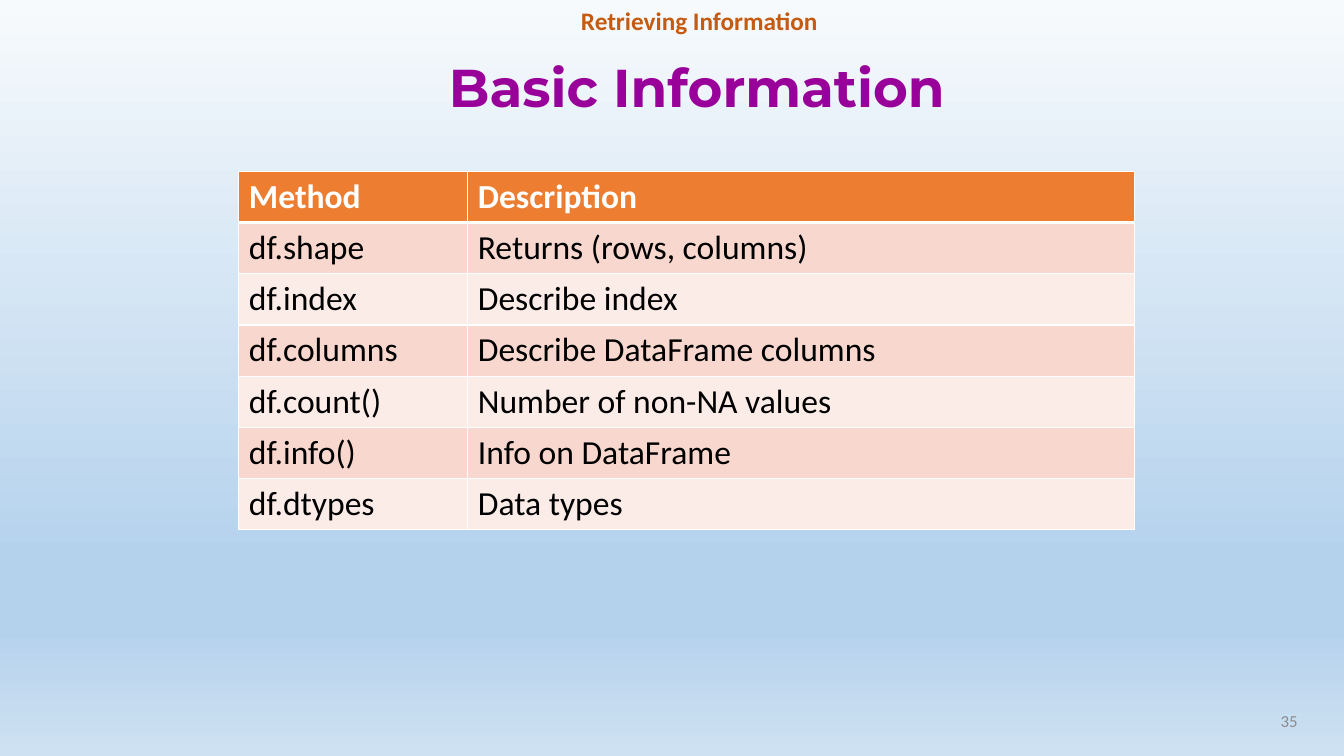
"""Build the Basic Information slide about DataFrame methods."""
from typing import NamedTuple

from lxml import etree
from pptx import Presentation
from pptx import util as u
from pptx.dml.color import RGBColor
from pptx.enum import text
from pptx.oxml import ns

COLORS = {
    "title": "990099", "topic": "C55A11", "number": "8C8C8C",
    "header": "ED7D31", "odd": "F8D7CE", "even": "FCECE8",
    "white": "FFFFFF", "black": "000000",
}
BACKGROUND_STOPS = [(0, "F7FAFD"), (74, "B5D2EC"), (83, "B5D2EC"), (100, "CEE1F2")]
COLUMN_WIDTHS = (5.77, 16.81)
ROW_HEIGHT = 1.29


class Method(NamedTuple):
    name: str
    description: str


class Label(NamedTuple):
    content: str
    left: float
    top: float
    width: float
    height: float
    size: float
    color: str
    bold: bool = True
    font: str = "Calibri"
    align: text.PP_ALIGN = text.PP_ALIGN.CENTER
    anchor: text.MSO_ANCHOR = text.MSO_ANCHOR.MIDDLE
    line_spacing: float = 1.0


METHODS = [
    Method("Method", "Description"),
    Method("df.shape", "Returns (rows, columns)"),
    Method("df.index", "Describe index"),
    Method("df.columns", "Describe DataFrame columns"),
    Method("df.count()", "Number of non-NA values"),
    Method("df.info()", "Info on DataFrame"),
    Method("df.dtypes", "Data types"),
]
TITLE = Label("Basic Information", 2.21, 1.04, 30.71, 2.46, 38, "title",
              font="Montserrat", line_spacing=0.9)
TOPIC = Label("Retrieving Information", 6.65, 0, 21.95, 1.04, 18, "topic",
              anchor=text.MSO_ANCHOR.TOP)
NUMBER = Label("35", 24.64, 17.65, 8.31, 1.02, 12, "number", bold=False,
               align=text.PP_ALIGN.RIGHT)


def style_font(paragraph, name: str, size: float, color: str, bold: bool) -> None:
    """Set the font of a whole paragraph."""
    font = paragraph.font
    font.name, font.size, font.bold = name, u.Pt(size), bold
    font.color.rgb = RGBColor.from_string(COLORS[color])


def fill_label(shape, label: Label) -> None:
    """Place a text shape and write its single formatted paragraph."""
    shape.left, shape.top = u.Cm(label.left), u.Cm(label.top)
    shape.width, shape.height = u.Cm(label.width), u.Cm(label.height)
    frame = shape.text_frame
    frame.text = label.content
    frame.word_wrap = True
    frame.auto_size = text.MSO_AUTO_SIZE.NONE
    frame.vertical_anchor = label.anchor
    paragraph = frame.paragraphs[0]
    paragraph.alignment = label.align
    paragraph.line_spacing = label.line_spacing
    paragraph.space_before = u.Pt(0)
    style_font(paragraph, label.font, label.size, label.color, label.bold)


def remove_bullet(paragraph) -> None:
    """Drop the bullet and hanging indent inherited from the layout."""
    properties = paragraph._p.get_or_add_pPr()
    properties.set("marL", "0")
    properties.set("indent", "0")
    etree.SubElement(properties, ns.qn("a:buNone"))


def add_solid_color(parent, tag: str, color: str) -> None:
    """Append an RGB colour inside a new child, or directly for an empty tag."""
    holder = etree.SubElement(parent, ns.qn(tag)) if tag else parent
    etree.SubElement(holder, ns.qn("a:srgbClr"), val=color)


def paint_background(slide) -> None:
    """Give the slide its vertical gradient."""
    fill = slide.background.fill
    fill.gradient()
    fill.gradient_angle = 270
    stops = slide.element.find(".//" + ns.qn("a:gsLst"))
    for stop in list(stops):
        stops.remove(stop)
    for position, color in BACKGROUND_STOPS:
        stop = etree.SubElement(stops, ns.qn("a:gs"), pos=str(position * 1000))
        add_solid_color(stop, "", color)


def style_cell(cell, row: int) -> None:
    """Set borders, fill and font of a cell according to its row."""
    widths = {"L": 1, "R": 1, "T": 3 if row == 1 else 1, "B": 3 if row == 0 else 1}
    properties = cell._tc.get_or_add_tcPr()
    for side, width in widths.items():
        line = etree.SubElement(properties, ns.qn(f"a:ln{side}"), w=str(u.Pt(width)))
        add_solid_color(line, "a:solidFill", COLORS["white"])
    band = "header" if row == 0 else ("even", "odd")[row % 2]
    cell.fill.solid()
    cell.fill.fore_color.rgb = RGBColor.from_string(COLORS[band])
    style_font(cell.text_frame.paragraphs[0], "Calibri", 24,
               "white" if row == 0 else "black", row == 0)


def add_method_table(slide) -> None:
    """Add the table of DataFrame methods."""
    table = slide.shapes.add_table(
        len(METHODS), len(COLUMN_WIDTHS), u.Cm(6.02), u.Cm(4.32),
        u.Cm(sum(COLUMN_WIDTHS)), u.Cm(ROW_HEIGHT * len(METHODS))).table
    for column, width in zip(table.columns, COLUMN_WIDTHS):
        column.width = u.Cm(width)
    for row, method in enumerate(METHODS):
        for column, content in enumerate(method):
            cell = table.cell(row, column)
            cell.text = content
            style_cell(cell, row)


def main() -> None:
    """Create and save the presentation."""
    presentation = Presentation()
    presentation.slide_width, presentation.slide_height = u.Cm(33.87), u.Cm(19.05)
    slide = presentation.slides.add_slide(presentation.slide_layouts[1])
    paint_background(slide)
    topic = slide.placeholders[1]
    fill_label(slide.shapes.title, TITLE)
    fill_label(topic, TOPIC)
    remove_bullet(topic.text_frame.paragraphs[0])
    fill_label(slide.shapes.add_textbox(0, 0, 0, 0), NUMBER)
    add_method_table(slide)
    presentation.save("out.pptx")


if __name__ == "__main__":
    main()
